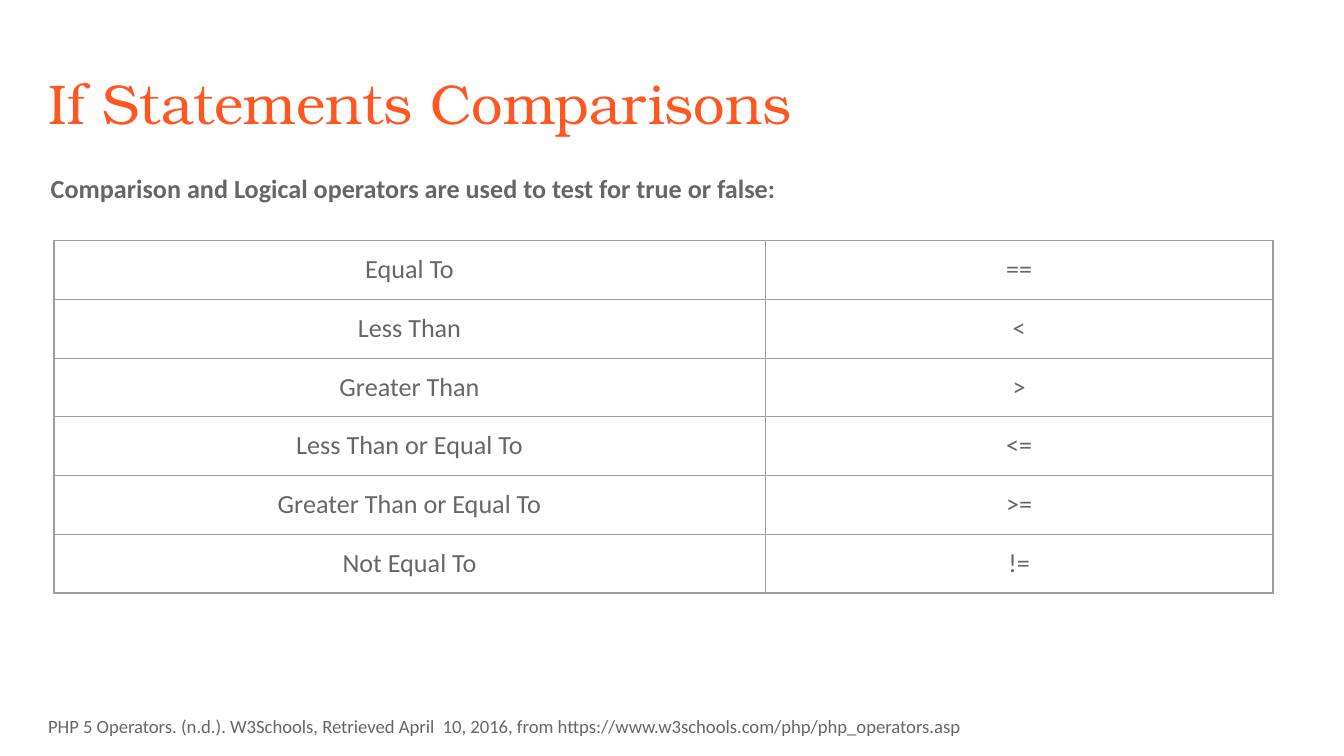
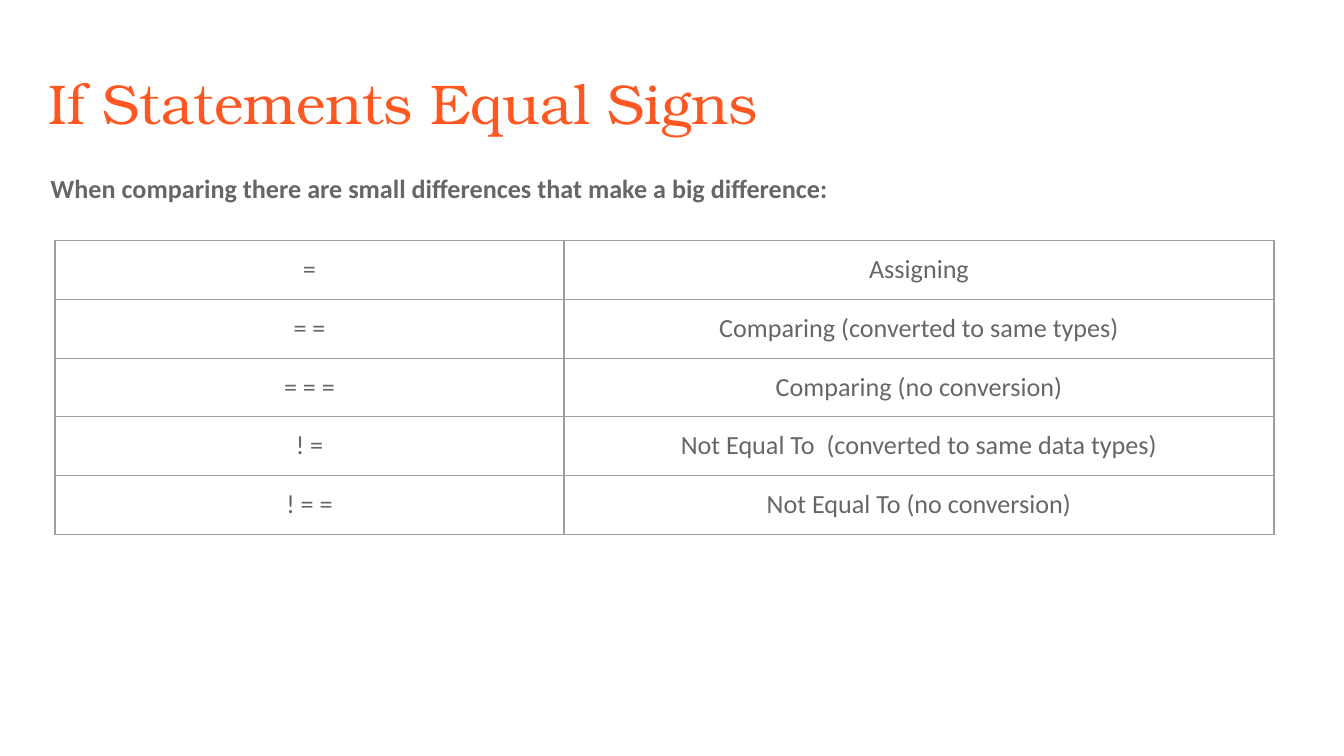
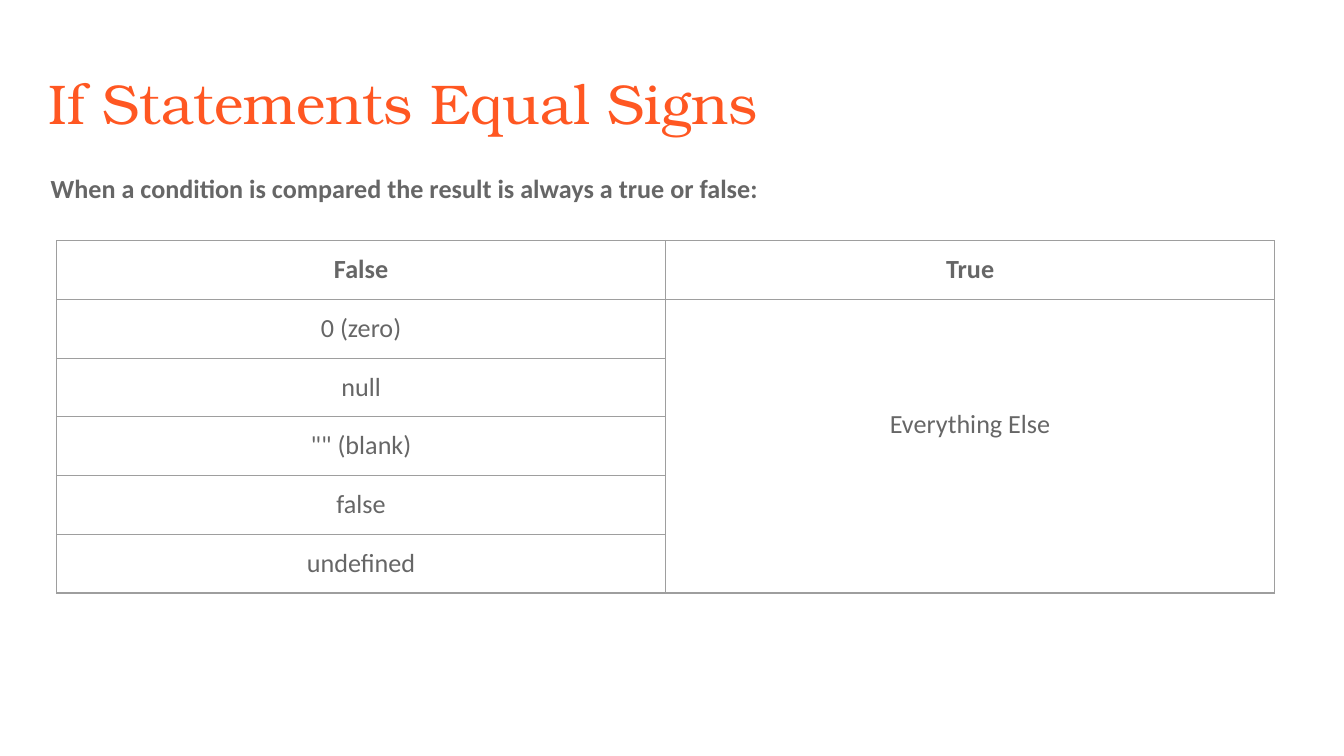
"""Build three slides on PHP comparison operators."""

from lxml.etree import SubElement
from pptx import Presentation
from pptx.dml.color import RGBColor
from pptx.enum.text import MSO_ANCHOR, MSO_AUTO_SIZE, PP_ALIGN
from pptx.oxml.ns import qn
from pptx.util import Cm, Pt

SLIDES = [
    {
        "title": "If Statements Comparisons",
        "lead": "Comparison and Logical operators are used to test for true or false:",
        "left": 1.02,
        "columns": (13.44, 9.6),
        "rows": [
            ("Equal To", "=="),
            ("Less Than", "<"),
            ("Greater Than", ">"),
            ("Less Than or Equal To", "<="),
            ("Greater Than or Equal To", ">="),
            ("Not Equal To", "!="),
        ],
        "citation": "PHP 5 Operators. (n.d.). W3Schools, Retrieved April  10, 2016, "
                    "from https://www.w3schools.com/php/php_operators.asp",
    },
    {
        "title": "If Statements Equal Signs",
        "lead": "When comparing there are small differences that make a big difference:",
        "left": 1.04,
        "columns": (9.62, 13.42),
        "rows": [
            ("=", "Assigning"),
            ("= =", "Comparing (converted to same types)"),
            ("= = =", "Comparing (no conversion)"),
            ("! =", "Not Equal To  (converted to same data types)"),
            ("! = =", "Not Equal To (no conversion)"),
        ],
    },
    {
        "title": "If Statements Equal Signs",
        "lead": "When a condition is compared the result is always a true or false:",
        "left": 1.07,
        "columns": (11.51, 11.51),
        "header": True,
        "rows": [
            ("False", "True"),
            ("0 (zero)", "Everything Else"),
            ("null", None),
            ('"" (blank)', None),
            ("false", None),
            ("undefined", None),
        ],
    },
]

COLORS = {"title": "FF5722", "text": "666666", "border": "9E9E9E"}
TITLE_FONT = "TeX Gyre Bonum"
BODY_FONT = "Calibri"
MARGIN = Cm(0.25)
TITLE_BOX = (0.66, 1.04, 23.04, 1.52)
LEAD_BOX = (0.71, 3, 23.77, 3.61)
CITATION_BOX = (0.66, 13.26, 23.77, 0.84)
TABLE_TOP = 4.55
ROW_HEIGHT = 1.11
MERGED_TEXT_OFFSET = Cm(2.06)


def set_margins(target):
    """Give a text frame or table cell the shared inner margins."""
    target.margin_left = target.margin_right = MARGIN
    target.margin_top = target.margin_bottom = MARGIN


def write(text_frame, text, size, font=BODY_FONT, color="text", bold=False,
          alignment=PP_ALIGN.LEFT):
    """Write one styled run and return its paragraph."""
    paragraph = text_frame.paragraphs[0]
    paragraph.alignment = alignment
    run = paragraph.add_run()
    run.text = text
    run.font.name = font
    run.font.size = Pt(size)
    run.font.bold = bold
    run.font.color.rgb = RGBColor.from_string(COLORS[color])
    return paragraph


def prepare_frame(shape):
    """Set wrapping, anchor and margins of a text shape."""
    frame = shape.text_frame
    frame.word_wrap = True
    frame.auto_size = MSO_AUTO_SIZE.NONE
    frame.vertical_anchor = MSO_ANCHOR.TOP
    set_margins(frame)
    return frame


def add_title(slide, text):
    """Place and fill the title placeholder."""
    title = slide.shapes.title
    title.left, title.top, title.width, title.height = map(Cm, TITLE_BOX)
    write(prepare_frame(title), text, 30, TITLE_FONT, "title")


def add_text(slide, box, text, size, bold=False):
    """Add a text box with one paragraph."""
    shape = slide.shapes.add_textbox(*map(Cm, box))
    paragraph = write(prepare_frame(shape), text, size, bold=bold)
    paragraph.space_after = Pt(10)


def add_borders(cell):
    """Draw a thin line on each side of a cell."""
    properties = cell._tc.get_or_add_tcPr()
    for side in ("lnL", "lnR", "lnT", "lnB"):
        line = SubElement(properties, qn(f"a:{side}"), w=str(Pt(0.75)))
        fill = SubElement(line, qn("a:solidFill"))
        SubElement(fill, qn("a:srgbClr"), val=COLORS["border"])


def add_operator_table(slide, content):
    """Add the bordered table, merging cells downward where a value is None."""
    rows, columns = content["rows"], content["columns"]
    header = content.get("header", False)
    table = slide.shapes.add_table(
        len(rows), len(columns), Cm(content["left"]), Cm(TABLE_TOP),
        Cm(sum(columns)), Cm(ROW_HEIGHT * len(rows))).table
    table.first_row = header
    table.horz_banding = False
    for column, width in zip(table.columns, columns):
        column.width = Cm(width)
    for row_index, values in enumerate(rows):
        table.rows[row_index].height = Cm(ROW_HEIGHT)
        for column_index, value in enumerate(values):
            cell = table.cell(row_index, column_index)
            set_margins(cell)
            add_borders(cell)
            cell.fill.background()
            if value is not None:
                write(cell.text_frame, value, 14, bold=header and row_index == 0,
                      alignment=PP_ALIGN.CENTER)
    for column_index, values in enumerate(zip(*rows)):
        if None in values:
            first = values.index(None) - 1
            merged = table.cell(first, column_index)
            merged.merge(table.cell(len(rows) - 1, column_index))
            merged.margin_top = MERGED_TEXT_OFFSET


def main():
    """Build and save the presentation."""
    presentation = Presentation()
    presentation.slide_width = Cm(25.4)
    presentation.slide_height = Cm(14.29)
    for content in SLIDES:
        slide = presentation.slides.add_slide(presentation.slide_layouts[5])
        add_title(slide, content["title"])
        add_text(slide, LEAD_BOX, content["lead"], 14, bold=True)
        add_operator_table(slide, content)
        if "citation" in content:
            add_text(slide, CITATION_BOX, content["citation"], 10)
    presentation.save("out.pptx")


if __name__ == "__main__":
    main()
